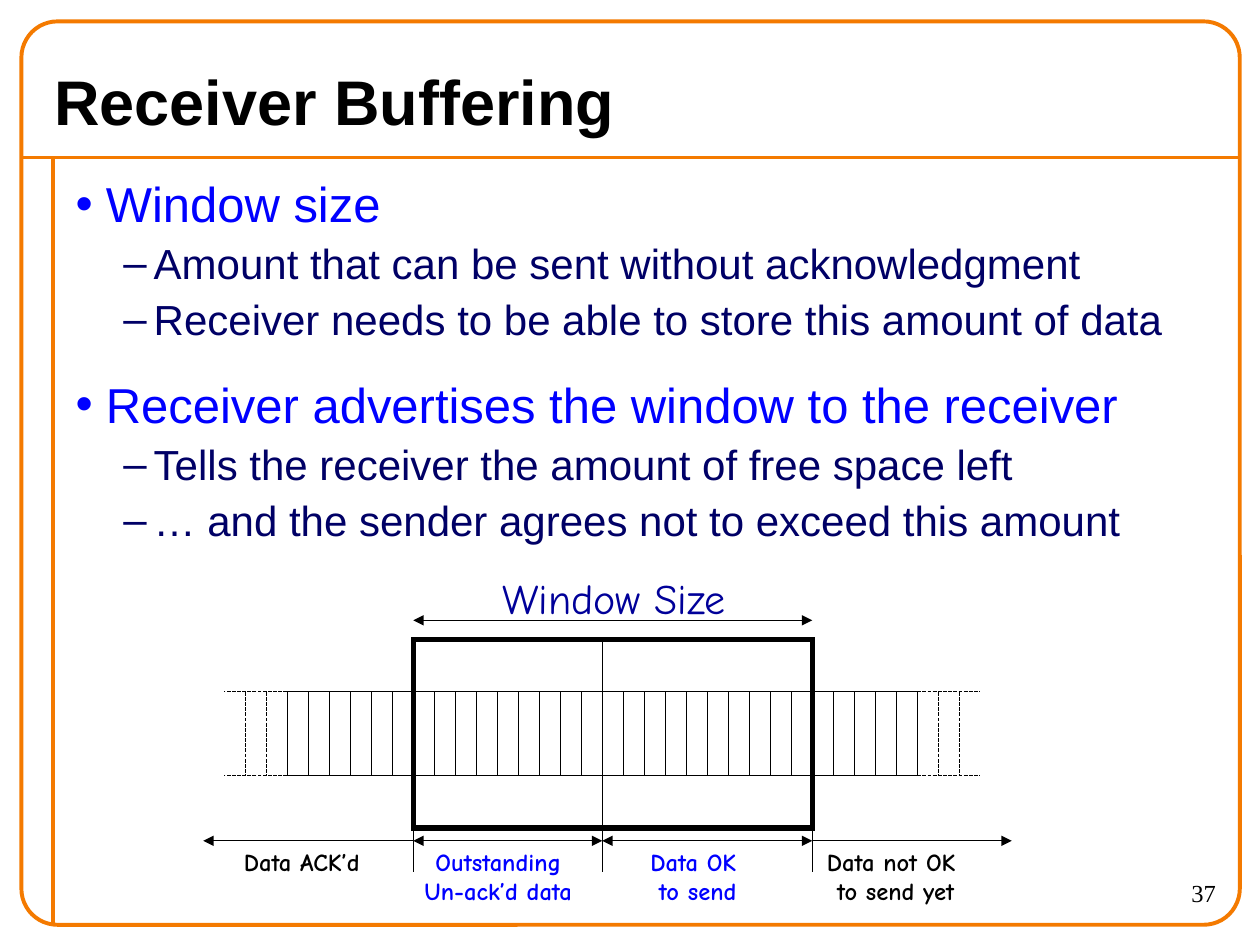
from lxml.etree import SubElement
from pptx import Presentation
from pptx.dml.color import RGBColor
from pptx.enum.dml import MSO_LINE_DASH_STYLE as DASH
from pptx.enum.shapes import MSO_CONNECTOR, MSO_SHAPE
from pptx.enum.text import MSO_ANCHOR, MSO_AUTO_SIZE, PP_ALIGN
from pptx.oxml.ns import qn
from pptx.util import Inches, Pt

COLORS = {"frame": "F47A00", "ink": "000000", "point": "0000FF",
          "detail": "000066", "caption": "000099"}
POINTS = [
    (0, "Window size"),
    (1, "Amount that can be sent without acknowledgment"),
    (1, "Receiver needs to be able to store this amount of data"),
    (0, "Receiver advertises the window to the receiver"),
    (1, "Tells the receiver the amount of free space left"),
    (1, "… and the sender agrees not to exceed this amount"),
]
LEVELS = [
    {"mark": "•", "color": "point", "size": 28, "before": 17.5, "margin": 0.24},
    {"mark": "–", "color": "detail", "size": 24, "before": 3, "margin": 0.62},
]


def rgb(color):
    """Return the named colour."""
    return RGBColor.from_string(COLORS[color])


def place(shape, box):
    """Move a shape to a box in inches."""
    shape.left, shape.top, shape.width, shape.height = map(Inches, box)


def style_runs(paragraph, font, size, color, bold=False):
    """Format every run of a paragraph."""
    for run in paragraph.runs:
        run.font.name, run.font.size, run.font.bold = font, Pt(size), bold
        run.font.color.rgb = rgb(color)


def add_line(slide, start, end, color="ink", width=0.75, dashed=False, arrows=()):
    """Draw a straight line, with arrowheads at the named ends."""
    line = slide.shapes.add_connector(
        MSO_CONNECTOR.STRAIGHT, *map(Inches, (*start, *end)))
    line.line.color.rgb = rgb(color)
    line.line.width = Pt(width)
    if dashed:
        line.line.dash_style = DASH.SQUARE_DOT
    for arrow in arrows:
        SubElement(line.line._get_or_add_ln(), qn(f"a:{arrow}"), type="triangle")
    SubElement(line._element.spPr, qn("a:effectLst"))


def add_outline(slide, kind, box, color, width):
    """Draw an unfilled shape with square line joins."""
    outline = slide.shapes.add_shape(kind, *map(Inches, box))
    outline.shadow.inherit = False
    outline.fill.background()
    outline.line.color.rgb = rgb(color)
    outline.line.width = Pt(width)
    SubElement(outline.line._get_or_add_ln(), qn("a:miter"), lim="800000")
    return outline


def add_label(slide, box, text, font, size, color, bold=False, align=PP_ALIGN.CENTER):
    """Write a label that does not wrap."""
    label = slide.shapes.add_textbox(*map(Inches, box))
    label.text_frame.word_wrap = False
    label.text_frame.text = text
    for paragraph in label.text_frame.paragraphs:
        paragraph.alignment = align
        style_runs(paragraph, font, size, color, bold)


def add_frame(slide, box):
    """Draw the rounded frame with its title rule and margin rule."""
    left, top, width, height = box
    rule, margin = top + 1.08, left + 0.25
    add_line(slide, (left, rule), (left + width, rule), "frame", 2.25)
    add_line(slide, (margin, rule), (margin, top + height), "frame", 2.25)
    border = add_outline(slide, MSO_SHAPE.ROUNDED_RECTANGLE, box, "frame", 2.25)
    border.adjustments[0] = 0.04


def fill_title(title, box):
    """Place and write the slide title."""
    place(title, box)
    title.text_frame.text = "Receiver Buffering"
    title.text_frame.vertical_anchor = MSO_ANCHOR.MIDDLE
    title.text_frame.auto_size = MSO_AUTO_SIZE.NONE
    title.text_frame.paragraphs[0].alignment = PP_ALIGN.LEFT
    style_runs(title.text_frame.paragraphs[0], "Arial", 36, "ink", True)


def fill_points(body, box):
    """Place the body and write the two-level list."""
    place(body, box)
    frame = body.text_frame
    frame.auto_size = MSO_AUTO_SIZE.NONE
    frame.text = "\n".join(text for _, text in POINTS)
    for index, (paragraph, (depth, _)) in enumerate(zip(frame.paragraphs, POINTS)):
        level = LEVELS[depth]
        paragraph.level = depth
        props = paragraph._p.get_or_add_pPr()
        props.set("marL", str(Inches(level["margin"])))
        props.set("indent", str(Inches(-0.24)))
        tint = SubElement(props, qn("a:buClr"))
        SubElement(tint, qn("a:srgbClr"), val=COLORS[level["color"]])
        SubElement(props, qn("a:buFont"), typeface="Arial")
        SubElement(props, qn("a:buChar"), char=level["mark"])
        paragraph.line_spacing = 1.0
        paragraph.space_before = Pt(level["before"] if index else 0)
        style_runs(paragraph, "Arial", level["size"], level["color"])


def add_window_diagram(slide, left, top, cell):
    """Draw the byte strip and sliding window on a grid of square cells."""
    first, split, last, end = 6, 15, 25, 30

    def at(column, row):
        return left + column * cell, top + row * cell

    def box(column, row, columns, rows):
        return *at(column, row), columns * cell, rows * cell

    for row in (0, 4):
        add_line(slide, at(0, row), at(end, row))
        for inner, outer in ((0, -3), (end, end + 3)):
            add_line(slide, at(inner, row), at(outer, row), dashed=True)
    for column in range(-2, end + 3):
        add_line(slide, at(column, 0), at(column, 4),
                 dashed=not 0 <= column <= end)

    add_outline(slide, MSO_SHAPE.RECTANGLE,
                box(first, -2.5, last - first, 9), "ink", 3)
    add_line(slide, at(split, -2.5), at(split, 6.5))
    for column in (first, split, last):
        add_line(slide, at(column, 6.5), at(column, 8.6))

    both = ("headEnd", "tailEnd")
    for start, stop, row, arrows in (
            (first, last, -3.4, both), (first, -4, 7.1, both[1:]),
            (first, split, 7.1, both), (split, last, 7.1, both),
            (last, 34.5, 7.1, both[1:])):
        add_line(slide, at(start, row), at(stop, row), arrows=arrows)

    add_label(slide, box(9.6, -5.95, 11.9, 3), "Window Size",
              "Comic Neue", 24, "caption")
    for column, columns, text, color in (
            (-2.7, 7.2, "Data ACK’d ", "ink"),
            (5.45, 9.2, "Outstanding\nUn-ack’d data", "point"),
            (16.2, 6.7, "Data OK \nto send", "point"),
            (24.6, 8.75, "Data not OK \nto send yet", "ink")):
        add_label(slide, box(column, 7.1, columns, 3.4), text,
                  "Comic Neue", 14, color, True)


def main():
    """Build and save the slide."""
    deck = Presentation()
    deck.slide_width, deck.slide_height = Inches(10), Inches(7.5)
    slide = deck.slides.add_slide(deck.slide_layouts[1])
    add_frame(slide, (0.17, 0.17, 9.67, 7.17))
    fill_title(slide.shapes.title, (0.33, 0.42, 8.82, 0.75))
    fill_points(slide.placeholders[1], (0.5, 1.33, 9.25, 3.13))
    add_window_diagram(slide, 2.28, 5.49, 1 / 6)
    add_label(slide, (8.75, 6.92, 1, 0.42), "37", "Times New Roman", 14, "ink",
              align=PP_ALIGN.RIGHT)
    deck.save("out.pptx")


if __name__ == "__main__":
    main()
